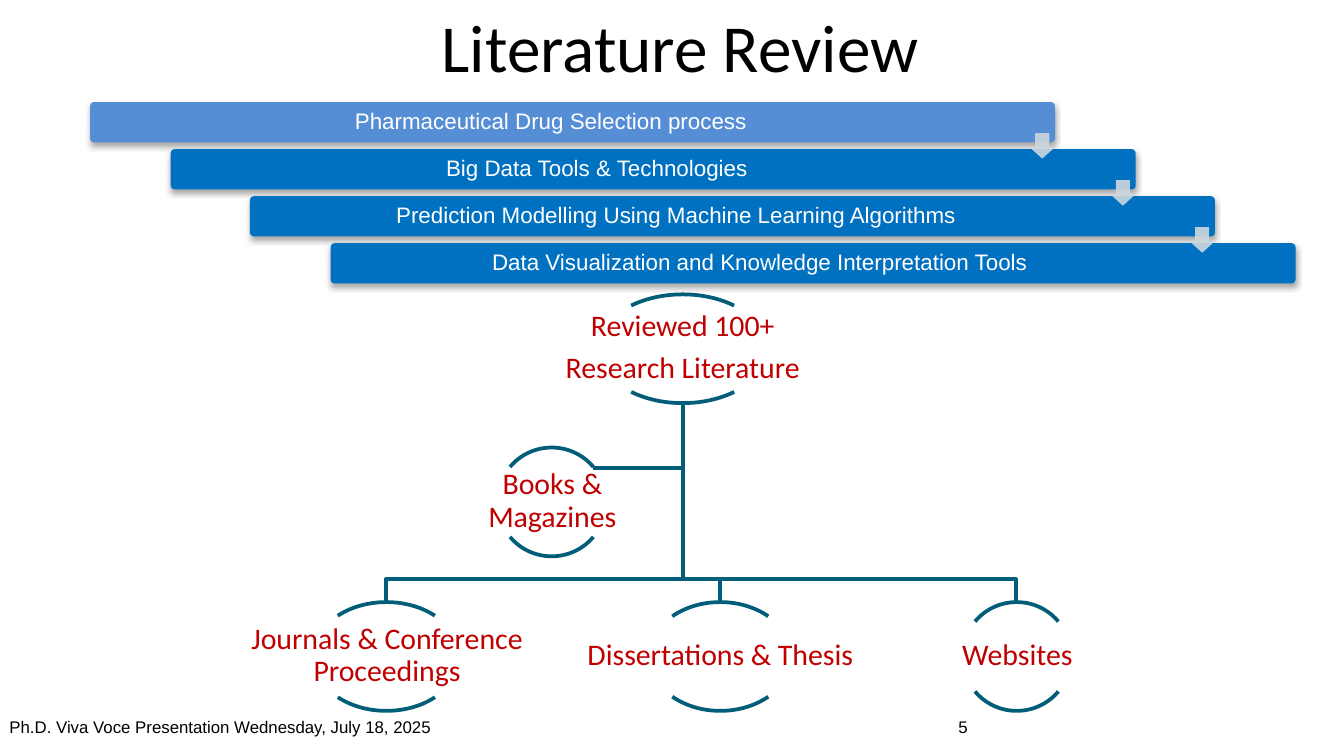
from pptx import Presentation
from pptx.dml.color import RGBColor
from pptx.enum.shapes import MSO_SHAPE as SHAPE
from pptx.enum.text import MSO_ANCHOR as ANCHOR, PP_ALIGN as ALIGN
from pptx.oxml import parse_xml
from pptx.oxml.ns import nsdecls
from pptx.util import Pt

PX = 9144  # 100 px to the inch

BLACK = RGBColor(0x00, 0x00, 0x00)
WHITE = RGBColor(0xFF, 0xFF, 0xFF)
LIGHT_BLUE = RGBColor(0x55, 0x8E, 0xD5)
BLUE = RGBColor(0x00, 0x70, 0xC0)
GREY = RGBColor(0xCC, 0xD6, 0xDD)
TEAL = RGBColor(0x02, 0x5E, 0x78)
RED = RGBColor(0xC0, 0x00, 0x00)

# Text formats: font, paragraph and frame values
TITLE = dict(font=dict(name="Calibri", size=Pt(36)), color=BLACK,
             para=dict(alignment=ALIGN.CENTER), anchor=ANCHOR.TOP, inset=(7, 4))
FOOTER = dict(font=dict(name="Arial", size=Pt(9)), color=BLACK,
              para=dict(alignment=ALIGN.LEFT), anchor=ANCHOR.TOP, inset=(7, 4))
BAR = dict(font=dict(name="Arial", size=Pt(12)), color=WHITE,
           para=dict(alignment=ALIGN.CENTER, line_spacing=0.9, space_after=Pt(4)),
           anchor=ANCHOR.MIDDLE, inset=(5, 5))
NODE = dict(font=dict(name="Calibri", size=Pt(16)), color=RED,
            para=dict(alignment=ALIGN.CENTER, line_spacing=0.9, space_after=Pt(5)),
            anchor=ANCHOR.MIDDLE, inset=(1, 1))

prs = Presentation()
prs.slide_width = 1000 * PX
prs.slide_height = prs.slide_width * 9 // 16
s = prs.slides.add_slide(prs.slide_layouts[6])


def add_text(x, y, w, h, lines, fmt):
    tf = s.shapes.add_textbox(x * PX, y * PX, w * PX, h * PX).text_frame
    tf.word_wrap = True
    tf.vertical_anchor = fmt["anchor"]
    tf.margin_left = tf.margin_right = fmt["inset"][0] * PX
    tf.margin_top = tf.margin_bottom = fmt["inset"][1] * PX
    for i, line in enumerate(lines):
        p = tf.add_paragraph() if i else tf.paragraphs[0]
        for key, value in fmt["para"].items():
            setattr(p, key, value)
        r = p.add_run()
        r.text = line
        for key, value in fmt["font"].items():
            setattr(r.font, key, value)
        r.font.color.rgb = fmt["color"]


def add_shape(kind, x, y, w, h, adjustments, fill=None):
    sp = s.shapes.add_shape(kind, x * PX, y * PX, w * PX, h * PX)
    sp.shadow.inherit = False
    for i, value in enumerate(adjustments):
        sp.adjustments[i] = value
    if fill is None:
        sp.fill.background()
        sp.line.color.rgb = TEAL
        sp.line.width = Pt(2)
    else:
        sp.fill.solid()
        sp.fill.fore_color.rgb = fill
        sp.line.fill.background()
    return sp


# Title and footer
add_text(75, 0, 862, 68, ["Literature Review"], TITLE)
add_text(0, 529, 409, 30, ["Ph.D. Viva Voce Presentation Wednesday, July 18, 2025"], FOOTER)
add_text(706, 529, 225, 30, ["5"], FOOTER)

# Staircase of topic bars
topics = [
    ("Pharmaceutical Drug Selection process", LIGHT_BLUE, 684),
    ("Big Data Tools & Technologies ", BLUE, 637),
    ("Prediction Modelling Using Machine Learning Algorithms ", BLUE, 637),
    ("Data Visualization and Knowledge Interpretation Tools", BLUE, 637),
]
steps = [(67 + round(59.6 * i), 76 + 35 * i) for i in range(len(topics))]
for (x, y), (topic, color, text_w) in zip(steps, topics):
    bar = add_shape(SHAPE.ROUNDED_RECTANGLE, x, y, 718, 30, [0.1], color)
    bar._element.spPr.find("{*}effectLst").append(parse_xml(
        f'<a:outerShdw {nsdecls("a")} blurRad="40000" dist="23000" dir="5400000" '
        'rotWithShape="0"><a:srgbClr val="000000"><a:alpha val="35000"/>'
        '</a:srgbClr></a:outerShdw>'))
    add_text(x + 1, y + 1, text_w, 28, [topic], BAR)

# Arrows from each bar to the next
for x, y in steps[:-1]:
    arrow = add_shape(SHAPE.DOWN_ARROW, x + 699, y + 23, 19, 19, [0.55, 0.45], GREY)
    arrow._element.spPr.find(".//{*}srgbClr").append(
        parse_xml(f'<a:alpha {nsdecls("a")} val="90000"/>'))

# Tree branches from the root node
root_x, root_y, bus_y, leaf_y = 508, 299, 431, 448
branches = [[(root_x, 348), (441, 348)]]
for x in (756, 536, 287):
    branches.append([(root_x, bus_y), (x, bus_y), (x, leaf_y)])
for points in branches:
    builder = s.shapes.build_freeform(root_x, root_y, scale=PX)
    builder.add_line_segments(points, close=False)
    sp = builder.convert_to_shape()
    sp.shadow.inherit = False
    sp.fill.background()
    sp.line.color.rgb = TEAL
    sp.line.width = Pt(2)

# Tree nodes: arcs above and below a centred label
nodes = [
    (445, 219, 126, ["Reviewed 100+", "Research Literature"]),
    (233, leaf_y, 109, ["Journals & Conference Proceedings"]),
    (483, leaf_y, 106, ["Dissertations & Thesis"]),
    (716, leaf_y, 81, ["Websites"]),
    (370, 333, 81, ["Books & Magazines"]),
]
for x, y, w, lines in nodes:
    for angles in ((132, 192), (24, 84)):
        add_shape(SHAPE.ARC, x, y, w, 81, angles)
    add_text(x - w // 2, y + 14, 2 * w, 52, lines, NODE)

prs.save("out.pptx")
